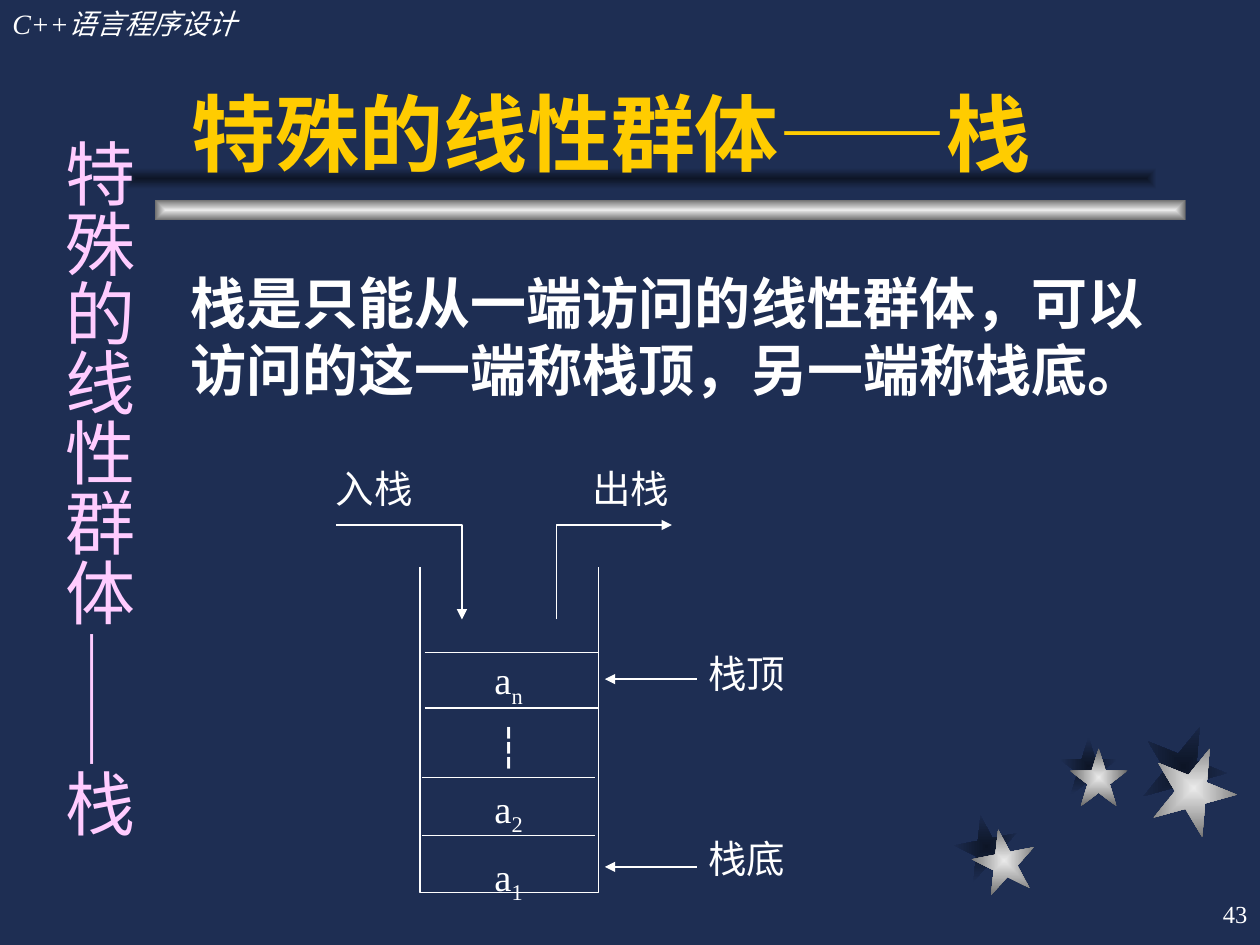
from lxml import etree
from pptx import Presentation
from pptx.dml.color import RGBColor
from pptx.enum.shapes import MSO_CONNECTOR, MSO_SHAPE
from pptx.enum.text import MSO_ANCHOR, MSO_AUTO_SIZE, PP_ALIGN
from pptx.oxml.ns import qn
from pptx.util import Inches, Pt

STAR, RECT = MSO_SHAPE.STAR_5_POINT, MSO_SHAPE.RECTANGLE
STRAIGHT = MSO_CONNECTOR.STRAIGHT
TOP, MIDDLE, BOTTOM = MSO_ANCHOR.TOP, MSO_ANCHOR.MIDDLE, MSO_ANCHOR.BOTTOM
LEFT, CENTER, RIGHT, JUSTIFY = PP_ALIGN.LEFT, PP_ALIGN.CENTER, PP_ALIGN.RIGHT, PP_ALIGN.JUSTIFY

NAVY = RGBColor(0x1E, 0x2E, 0x53)
DARK = RGBColor(0x0D, 0x15, 0x26)
SILVER = RGBColor(0xEA, 0xEA, 0xEA)
GRAY = RGBColor(0x6B, 0x6B, 0x6B)
WHITE = RGBColor(0xFF, 0xFF, 0xFF)
GOLD = RGBColor(0xFF, 0xCC, 0x00)
PINK = RGBColor(0xFF, 0xCC, 0xFF)
SERIF, SANS, CJK = "Times New Roman", "Arial", "Noto Sans CJK SC"

prs = Presentation()
prs.slide_width, prs.slide_height = Inches(10), Inches(7.5)
UNIT = prs.slide_width // 120  # the grid has 120 columns and 90 rows
s = prs.slides.add_slide(prs.slide_layouts[5])
s.background.fill.solid()
s.background.fill.fore_color.rgb = NAVY


def grid(*cells):
    return [round(n * UNIT) for n in cells]


def add_text(box, paragraphs, size, sp=None, font=SERIF, color=WHITE, bold=False,
             italic=False, align=LEFT, anchor=TOP, margins=(0, 0), before=0,
             spacing=1.0, vertical=False):
    """Write (text, subscript) paragraphs into sp, or into a new text box."""
    if sp is None:
        sp = s.shapes.add_textbox(0, 0, 0, 0)
    sp.left, sp.top, sp.width, sp.height = grid(*box)
    tf = sp.text_frame
    tf.word_wrap, tf.auto_size, tf.vertical_anchor = True, MSO_AUTO_SIZE.NONE, anchor
    tf.margin_left = tf.margin_right = Inches(margins[0])
    tf.margin_top = tf.margin_bottom = Inches(margins[1])
    if vertical:
        tf._txBody.bodyPr.set("vert", "eaVert")
    for i, parts in enumerate(paragraphs):
        p = tf.add_paragraph() if i else tf.paragraphs[0]
        p.alignment, p.line_spacing, p.space_before = align, spacing, Pt(before)
        for text, baseline in zip(parts, ("0", "-25000")):
            r = p.add_run()
            r.text = text
            r.font.size, r.font.name, r.font.color.rgb = Pt(size), font, color
            r.font.bold, r.font.italic = bold, italic
            rPr = r._r.get_or_add_rPr()
            rPr.set("baseline", baseline)
            etree.SubElement(rPr, qn("a:ea"), typeface=CJK)


# Stars and title rule, each with its shadow
STARS = [(6, 349), (5.52, 0), (8.04, 22)]
SHADOW_AT = [(90.96, 77.64), (100.92, 70.2), (108.72, 69)]
STAR_AT = [(92.64, 78.96), (101.88, 71.28), (109.68, 71.04)]
decorations = [
    (STAR, (x, y, size, size), turn, center, edge)
    for places, center, edge in ((SHADOW_AT, DARK, NAVY), (STAR_AT, SILVER, GRAY))
    for (x, y), (size, turn) in zip(places, STARS)
]
decorations += [(RECT, (14.76, 19, 98.16, 2), 0, SILVER, GRAY),
                (RECT, (12, 16, 98.16, 2), 0, DARK, NAVY)]
for kind, box, turn, center, edge in decorations:
    sp = s.shapes.add_shape(kind, *grid(*box))
    sp.rotation = turn
    sp.shadow.inherit = False
    sp.line.fill.background()
    sp.fill.gradient()
    for stop, color in zip(sp.fill.gradient_stops, (center, edge)):
        stop.color.rgb = color
    gradient = sp._element.spPr.find(qn("a:gradFill"))
    gradient.remove(gradient.find(qn("a:lin")))
    shade = etree.SubElement(gradient, qn("a:path"), {"path": "rect"})
    etree.SubElement(shade, qn("a:fillToRect"), dict.fromkeys("ltrb", "50000"))

# Title is last in the placeholder tree so that it lies over its rule
title = s.shapes.title
s.shapes._spTree.append(title._element)
TOPIC = "特殊的线性群体——栈"
add_text((0, 0, 37, 4.44), [["C++语言程序设计"]], 16, italic=True,
         margins=(0.1, 0.05), before=10)
add_text((17, 3, 94, 15), [[TOPIC]], 48, sp=title, font=SANS, color=GOLD, bold=True,
         anchor=BOTTOM, margins=(0.1, 0.05))
add_text((17, 25, 95, 23),
         [["栈是只能从一端访问的线性群体，可以访问的这一端称栈顶，另一端称栈底。"]],
         32, font=SANS, bold=True, margins=(0.1, 0.05), before=8)
add_text((3.6, 12, 10.32, 69), [[TOPIC]], 40, font=CJK, color=PINK,
         margins=(0.05, 0.1), before=25, vertical=True)
add_text((95, 84, 25, 6), [["43"]], 14, align=RIGHT, anchor=MIDDLE, margins=(0.1, 0.05))

# Stack diagram: outline, cell dividers, push and pop paths, pointers
WALL_L, WALL_R, FLOOR = 40.2, 56.64, 85
lines = [([(WALL_L, 54.48), (WALL_L, FLOOR), (WALL_R, FLOOR), (WALL_R, 54.24)], False),
         ([(32, 50.28), (43.8, 50.28), (43.8, 58.92)], True),
         ([(52.56, 58.92), (52.56, 50.28), (64.44, 50.28)], True)]
lines += [([(40.44, y), (57, y)], False) for y in (62.16, 67.44)]
lines += [([(WALL_L, y), (WALL_R, y)], False) for y in (74.04, 79.56)]
lines += [([(66.36, y), (57.6, y)], True) for y in (64.68, 82.56)]
for points, arrow in lines:
    if len(points) == 2:
        sp = s.shapes.add_connector(STRAIGHT, *grid(*points[0], *points[1]))
        etree.SubElement(sp._element.spPr, qn("a:effectLst"))
    else:
        builder = s.shapes.build_freeform(*points[0], scale=UNIT)
        builder.add_line_segments(points[1:], close=False)
        sp = builder.convert_to_shape()
        sp.fill.background()
        sp.shadow.inherit = False
    sp.line.color.rgb, sp.line.width = WHITE, Pt(0.75)
    if arrow:
        etree.SubElement(sp.line._get_or_add_ln(), qn("a:tailEnd"), type="triangle")

add_text((41, 61, 14.88, 23.88), [["a", "n"], ["┆"], ["a", "2"], ["a", "1"]], 22,
         align=CENTER, spacing=1.3)
for label, x, y in (("入栈", 32, 44.28), ("出栈", 56.4, 44.28),
                    ("栈顶", 67.44, 61.92), ("栈底", 67.44, 79.56)):
    add_text((x, y, 12, 5.5), [[label]], 22, align=JUSTIFY)

prs.save("out.pptx")
